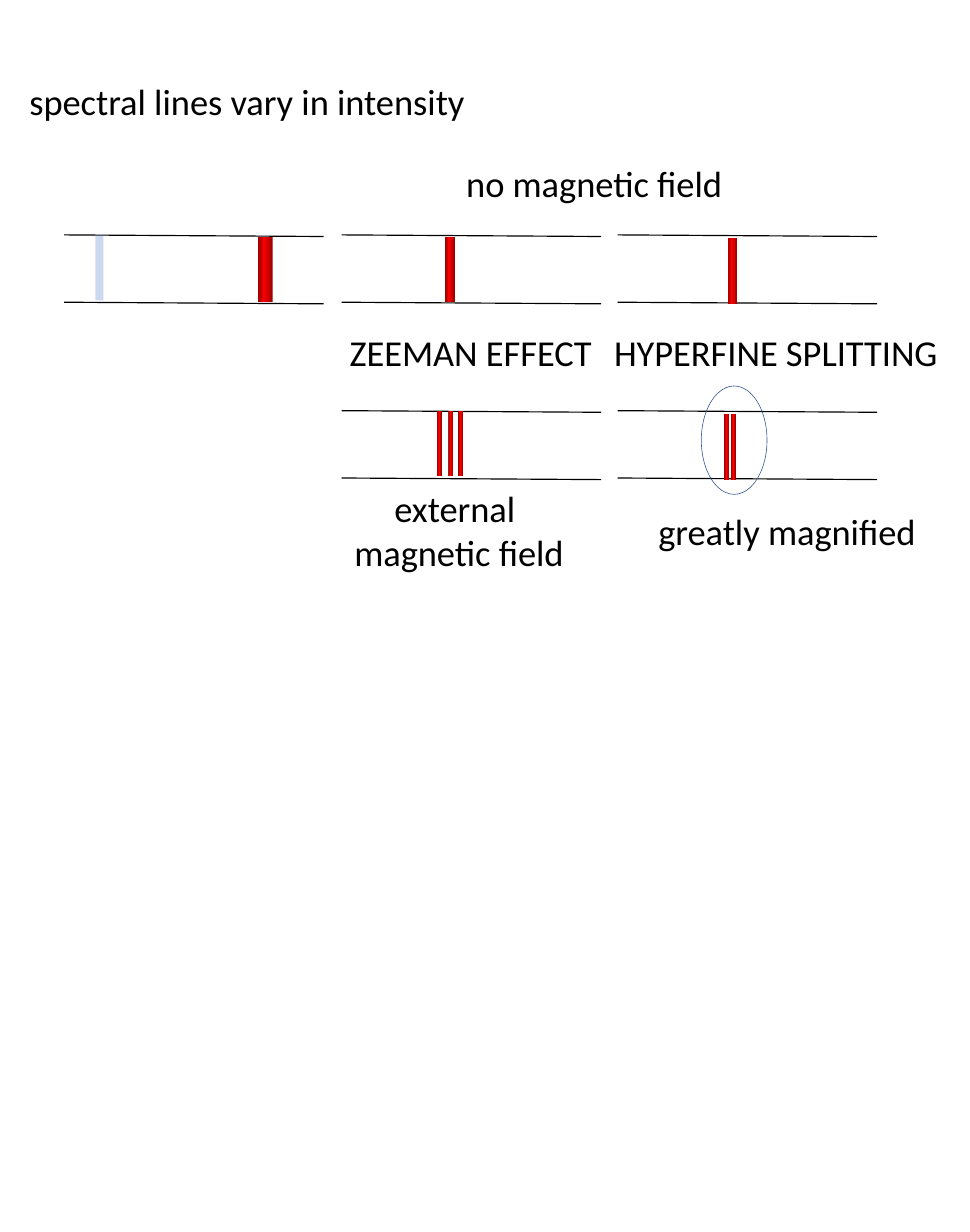
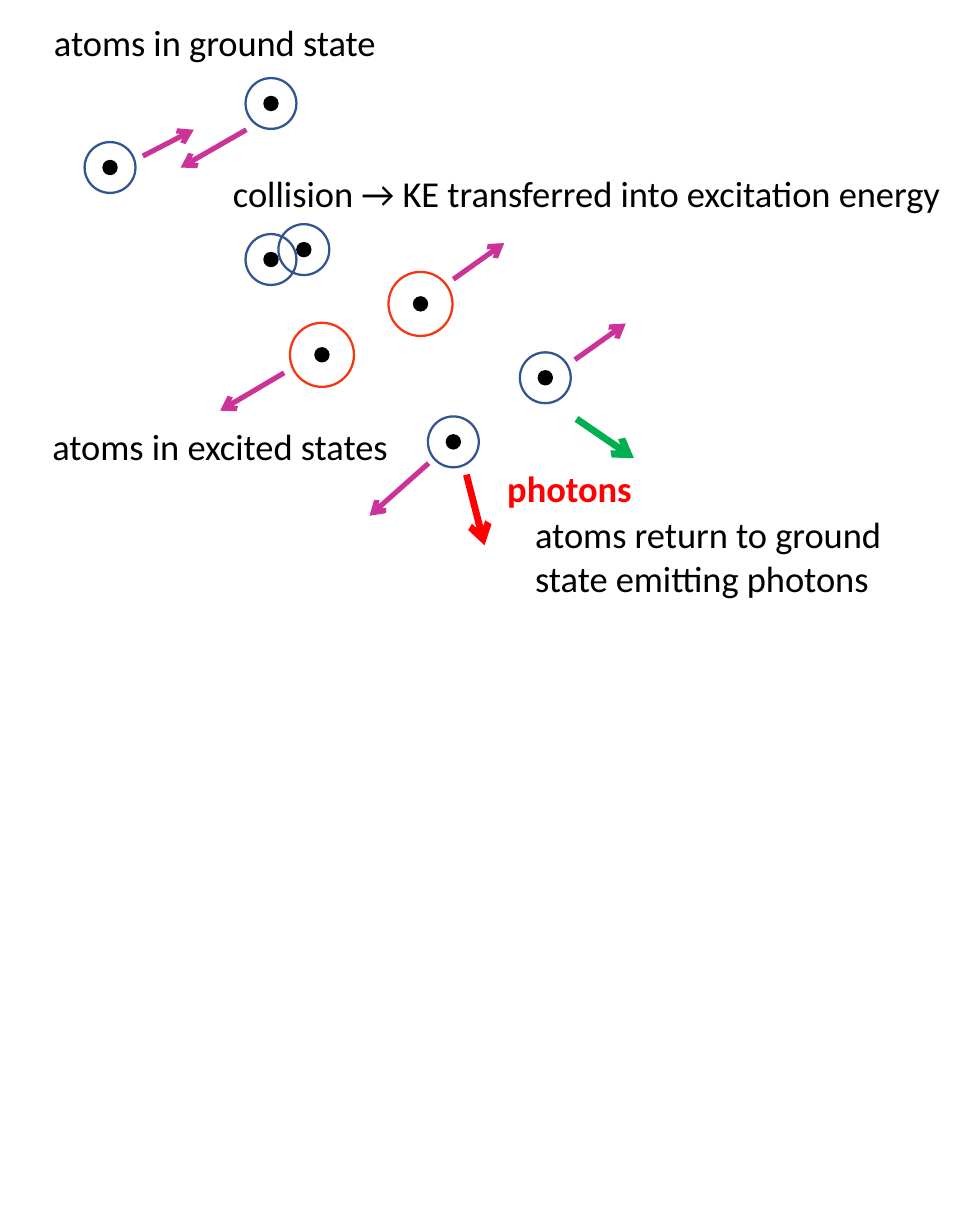
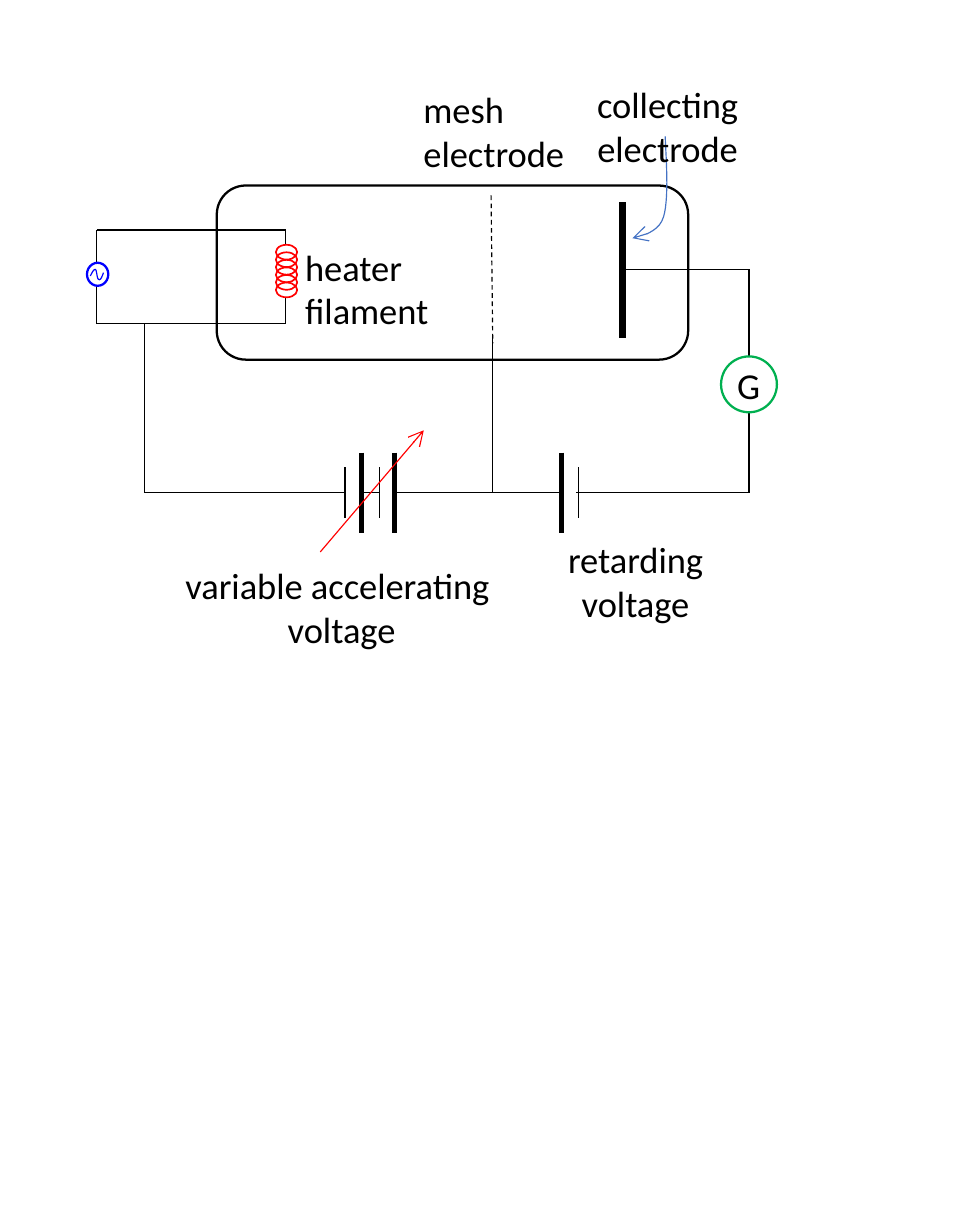
import copy

import pptx
import pptx.dml.color
import pptx.enum.dml
import pptx.enum.shapes
import pptx.enum.text
import pptx.oxml
import pptx.oxml.ns
import pptx.util
from pptx.util import Inches

RGB = pptx.dml.color.RGBColor
SHAPE = pptx.enum.shapes.MSO_SHAPE
CENTER = pptx.enum.text.PP_ALIGN.CENTER
LEFT = pptx.enum.text.PP_ALIGN.LEFT

BLACK = RGB(0x00, 0x00, 0x00)
WHITE = RGB(0xFF, 0xFF, 0xFF)
RED = RGB(0xFF, 0x00, 0x00)
MID_RED = RGB(0xD7, 0x00, 0x00)
DARK_RED = RGB(0x97, 0x00, 0x00)
GREEN = RGB(0x00, 0xB0, 0x50)
BLUE = RGB(0x00, 0x00, 0xFF)
SOFT_BLUE = RGB(0x44, 0x72, 0xC4)
GROUND = RGB(0x32, 0x54, 0x91)
EXCITED = RGB(0xF7, 0x36, 0x0F)
MOTION = RGB(0xCC, 0x33, 0x99)

FONT, FONT_SIZE = "Calibri", 16
THIN, THICK = 0.5, 2.25

SPECTRA_LABELS = [
    ("spectral lines vary in intensity", 0.08, 0.43, 2.88, LEFT),
    ("no magnetic field", 2.74, 0.93, 1.78, LEFT),
    ("ZEEMAN EFFECT", 2.03, 1.96, 1.7, LEFT),
    ("HYPERFINE SPLITTING", 3.64, 1.96, 2.2, LEFT),
    ("external\n magnetic field", 2, 2.91, 1.54, CENTER),
    ("greatly magnified", 3.91, 3.05, 1.79, LEFT),
]
TRACK_LEFTS = (0.39, 2.08, 3.76)
TRACK_TOPS = (1.43, 2.5)
TRACK_WIDTH, TRACK_HEIGHT, TRACK_SLOPE = 1.58, 0.41, 0.01
TRACK_CELLS = [(0, 0), (1, 0), (2, 0), (1, 1), (2, 1)]
BAND_HEIGHT = 0.4
BANDS = [
    (1.57, 1.44, 0.06),
    (2.71, 1.44, 0.04),
    (4.43, 1.45, 0.04),
    (2.66, 2.5, 0.02),
    (2.73, 2.5, 0.02),
    (2.79, 2.5, 0.02),
    (4.41, 2.52, 0.02),
    (4.45, 2.52, 0.02),
]

ATOM_LABELS = [
    ("atoms in ground state", 0.23, 0.07, 2.19, LEFT),
    ("collision → KE transferred into excitation energy", 1.32, 0.99, 4.58, LEFT),
    ("atoms in excited states", 0.22, 2.53, 2.27, LEFT),
]
NUCLEUS, GROUND_ORBIT, EXCITED_ORBIT = 0.08, 0.31, 0.39
GROUND_ATOMS = [(0.67, 1.02), (1.65, 0.63), (1.85, 1.52), (1.65, 1.58), (2.76, 2.69), (3.32, 2.3)]
EXCITED_ATOMS = [(1.96, 2.16), (2.56, 1.85)]
MOTIONS = [
    ((0.87, 0.95), (1.18, 0.79)),
    ((1.5, 0.79), (1.1, 1.02)),
    ((1.73, 2.27), (1.34, 2.5)),
    ((2.76, 1.7), (3.07, 1.48)),
    ((2.61, 2.82), (2.25, 3.14)),
    ((3.5, 2.19), (3.81, 1.97)),
]
PHOTONS = [((3.51, 2.55), (3.86, 2.79), GREEN), ((2.84, 2.89), (2.95, 3.32), RED)]

TUBE_LABELS = [
    ("heater\nfilament", 1.76, 1.44, 0.96, LEFT),
    ("variable accelerating\n voltage", 1.02, 3.38, 2.07, CENTER),
    ("mesh\nelectrode", 2.48, 0.48, 1.07, LEFT),
    ("collecting\nelectrode", 3.53, 0.45, 1.07, CENTER),
    ("retarding\nvoltage", 3.36, 3.22, 1.02, CENTER),
]
MAIN_Y, HEATER_TOP, HEATER_BOTTOM = 3, 1.4, 1.97
SUPPLY_X, RETURN_X, COIL_X, MESH_X, METER_X = 0.59, 0.88, 1.74, 3, 4.56
PLATE_X, PLATE_Y, METER_Y = 3.79, 1.64, 2.34
WIRES = [
    ((PLATE_X, PLATE_Y), (METER_X, PLATE_Y)),
    ((METER_X, PLATE_Y), (METER_X, MAIN_Y)),
    ((METER_X, MAIN_Y), (RETURN_X, MAIN_Y)),
    ((RETURN_X, MAIN_Y), (RETURN_X, HEATER_BOTTOM)),
    ((MESH_X, MAIN_Y), (MESH_X, 2.06)),
    ((SUPPLY_X, HEATER_TOP), (COIL_X, HEATER_TOP)),
    ((SUPPLY_X, HEATER_BOTTOM), (COIL_X, HEATER_BOTTOM)),
    ((SUPPLY_X, HEATER_BOTTOM), (SUPPLY_X, HEATER_TOP)),
    ((COIL_X, HEATER_TOP), (COIL_X, 1.49)),
    ((COIL_X, HEATER_BOTTOM), (COIL_X, 1.81)),
]
CELLS = [(3.42, 3.52), (2.2, 2.1), (2.4, 2.31)]
CELL_LONG, CELL_SHORT = 0.49, 0.31
COIL_RINGS, COIL_TOP, COIL_TRAVEL = 6, 1.49, 0.23
SINE = [
    ((0.55, 1.68), (0.56, 1.66), (0.57, 1.64), (0.58, 1.64)),
    ((0.58, 1.64), (0.59, 1.64), (0.59, 1.7), (0.6, 1.7)),
    ((0.6, 1.7), (0.61, 1.71), (0.62, 1.69), (0.63, 1.66)),
]
POINTER = [
    ((4.05, 0.83), (4.06, 1.03), (4.07, 1.22), (4.04, 1.32)),
    ((4.04, 1.32), (4.01, 1.43), (3.85, 1.45), (3.85, 1.45)),
]


def add_arrowhead(line):
    line._get_or_add_ln().append(
        pptx.oxml.parse_xml('<a:tailEnd %s type="arrow"/>' % pptx.oxml.ns.nsdecls("a")))


def draw_line(shapes, start, end, color=BLACK, width=THIN, arrow=False):
    connector = shapes.add_connector(
        pptx.enum.shapes.MSO_CONNECTOR.STRAIGHT, *(Inches(v) for v in (*start, *end)))
    connector.line.color.rgb = color
    connector.line.width = pptx.util.Pt(width)
    if arrow:
        add_arrowhead(connector.line)
    connector._element.spPr.append(
        pptx.oxml.parse_xml("<a:effectLst %s/>" % pptx.oxml.ns.nsdecls("a")))
    return connector


def paint(shape, fill=None, color=None, width=1):
    shape.shadow.inherit = False
    if fill is None:
        shape.fill.background()
    else:
        shape.fill.solid()
        shape.fill.fore_color.rgb = fill
    if color is None:
        shape.line.fill.background()
    else:
        shape.line.color.rgb = color
        shape.line.width = pptx.util.Pt(width)
    return shape


def draw_shape(shapes, kind, box, fill=None, color=None, width=1):
    return paint(shapes.add_shape(kind, *(Inches(v) for v in box)), fill, color, width)


def draw_circle(shapes, x, y, size, fill=None, color=None):
    box = (x - size / 2, y - size / 2, size, size)
    return draw_shape(shapes, SHAPE.OVAL, box, fill, color)


def draw_curve(shapes, beziers, color, arrow=False, steps=12):
    points = [beziers[0][0]]
    for a, b, c, d in beziers:
        for step in range(1, steps + 1):
            t = step / steps
            weights = ((1 - t) ** 3, 3 * t * (1 - t) ** 2, 3 * t * t * (1 - t), t ** 3)
            points.append(tuple(
                sum(w * p[axis] for w, p in zip(weights, (a, b, c, d))) for axis in (0, 1)))
    points = [(Inches(x), Inches(y)) for x, y in points]
    builder = shapes.build_freeform(*points[0])
    builder.add_line_segments(points[1:], close=False)
    curve = paint(builder.convert_to_shape(), None, color, THIN)
    if arrow:
        add_arrowhead(curve.line)


def format_text(frame, align, color=BLACK, bold=False):
    for paragraph in frame.paragraphs:
        paragraph.alignment = align
        for run in paragraph.runs:
            run.font.name = FONT
            run.font.size = pptx.util.Pt(FONT_SIZE)
            run.font.bold = bold
            run.font.color.rgb = color


def write_label(shapes, text, left, top, width, align=LEFT, color=BLACK, bold=False, wrap=False):
    height = 0.64 if wrap or "\n" in text else 0.37
    frame = shapes.add_textbox(*(Inches(v) for v in (left, top, width, height))).text_frame
    frame.word_wrap = wrap
    frame.auto_size = pptx.enum.text.MSO_AUTO_SIZE.SHAPE_TO_FIT_TEXT
    frame.text = text
    format_text(frame, align, color, bold)


def draw_band(shapes, left, top, strip_width):
    band = shapes.add_group_shape().shapes
    for flipped in (False, True):
        box = (left + flipped * strip_width / 2, top, strip_width, BAND_HEIGHT)
        strip = draw_shape(band, SHAPE.RECTANGLE, box)
        strip.fill.gradient()
        strip.fill.gradient_angle = 0
        first_stop = strip.fill.gradient_stops[0]._gs
        first_stop.addnext(copy.deepcopy(first_stop))
        for stop, position, color in zip(
                strip.fill.gradient_stops, (0, 0.5, 1), (DARK_RED, MID_RED, RED)):
            stop.position = position
            stop.color.rgb = color
        if flipped:
            strip._element.spPr.find(pptx.oxml.ns.qn("a:xfrm")).set("flipH", "1")


def draw_atom(shapes, x, y, orbit, color):
    atom = shapes.add_group_shape().shapes
    draw_circle(atom, x, y, NUCLEUS, BLACK, BLACK)
    draw_circle(atom, x, y, orbit, None, color)


def draw_cell(shapes, long_x, short_x):
    cell = shapes.add_group_shape().shapes
    gap = (min(long_x, short_x) + 0.01, MAIN_Y - 0.06, 0.07, 0.12)
    draw_shape(cell, SHAPE.RECTANGLE, gap, WHITE, WHITE)
    for x, length, width in ((long_x, CELL_LONG, THICK), (short_x, CELL_SHORT, THIN)):
        draw_line(cell, (x, MAIN_Y - length / 2), (x, MAIN_Y + length / 2), width=width)


def build_spectra(shapes):
    for column, row in TRACK_CELLS:
        left, top = TRACK_LEFTS[column], TRACK_TOPS[row]
        for y in (top, top + TRACK_HEIGHT):
            draw_line(shapes, (left, y), (left + TRACK_WIDTH, y + TRACK_SLOPE))
    faint = draw_shape(shapes, SHAPE.RECTANGLE, (0.58, 1.43, 0.05, BAND_HEIGHT), SOFT_BLUE)
    faint_color = faint._element.spPr.find(".//" + pptx.oxml.ns.qn("a:srgbClr"))
    faint_color.append(
        pptx.oxml.parse_xml('<a:alpha %s val="27000"/>' % pptx.oxml.ns.nsdecls("a")))
    for band in BANDS:
        draw_band(shapes, *band)
    draw_shape(shapes, SHAPE.OVAL, (4.27, 2.35, 0.4, 0.66), None, GROUND, 0.25)


def build_collisions(shapes):
    for x, y in GROUND_ATOMS:
        draw_atom(shapes, x, y, GROUND_ORBIT, GROUND)
    for x, y in EXCITED_ATOMS:
        draw_atom(shapes, x, y, EXCITED_ORBIT, EXCITED)
    for start, end in MOTIONS:
        draw_line(shapes, start, end, MOTION, THICK, arrow=True)
    for start, end, color in PHOTONS:
        draw_line(shapes, start, end, color, 3, arrow=True)
    write_label(shapes, "photons", 2.99, 2.79, 0.97, color=RED, bold=True)
    write_label(shapes, "atoms return to ground state emitting photons", 3.16, 3.07, 2.48, wrap=True)


def build_tube(shapes):
    draw_shape(shapes, SHAPE.ROUNDED_RECTANGLE, (1.32, 1.13, 2.87, 1.06), None, BLACK)
    draw_line(shapes, (PLATE_X, 1.23), (PLATE_X, 2.06), width=3)
    mesh = draw_line(shapes, (2.99, 1.19), (MESH_X, 2.09))
    mesh.line.dash_style = pptx.enum.dml.MSO_LINE.DASH
    for start, end in WIRES:
        draw_line(shapes, start, end)
    draw_circle(shapes, METER_X, METER_Y, 0.34, WHITE, GREEN)
    write_label(shapes, "G", 4.39, 2.16, 0.34)
    for cell in CELLS:
        draw_cell(shapes, *cell)
    draw_line(shapes, (1.95, 3.36), (2.58, 2.62), RED, arrow=True)
    coil = shapes.add_group_shape().shapes
    for ring in range(COIL_RINGS):
        top = COIL_TOP + COIL_TRAVEL * ring / (COIL_RINGS - 1)
        draw_shape(coil, SHAPE.OVAL, (1.68, top, 0.13, 0.09), None, RED, 0.75)
    draw_shape(shapes, SHAPE.OVAL, (0.53, 1.6, 0.13, 0.14), WHITE, BLUE)
    draw_curve(shapes, SINE, BLUE)
    draw_curve(shapes, POINTER, SOFT_BLUE, arrow=True)


def main():
    deck = pptx.Presentation()
    deck.slide_width = pptx.util.Cm(15)
    deck.slide_height = Inches(7.5)
    for build, labels in (
            (build_spectra, SPECTRA_LABELS),
            (build_collisions, ATOM_LABELS),
            (build_tube, TUBE_LABELS)):
        shapes = deck.slides.add_slide(deck.slide_layouts[6]).shapes
        build(shapes)
        for label in labels:
            write_label(shapes, *label)
    deck.save("out.pptx")


if __name__ == "__main__":
    main()
